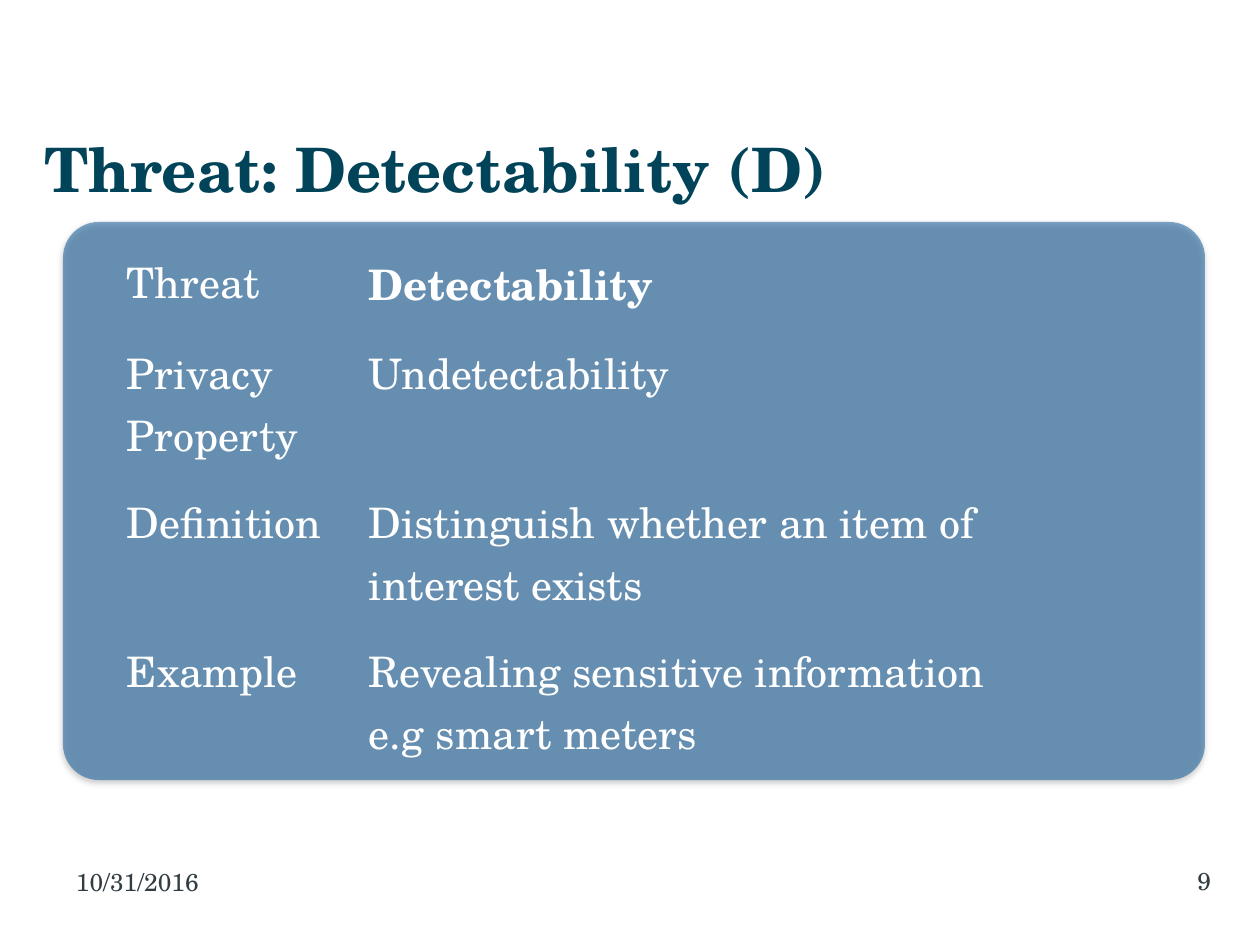
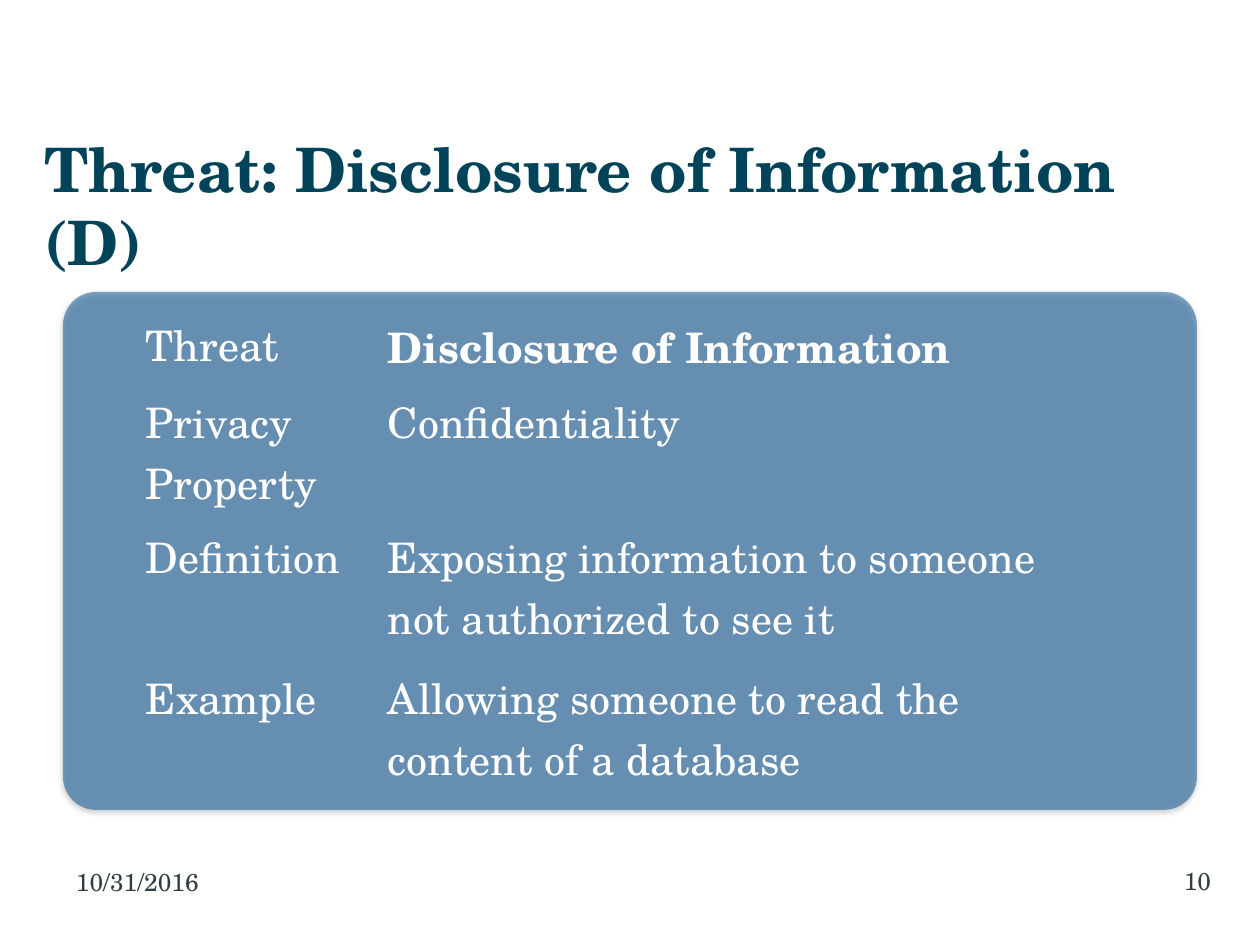
from dataclasses import dataclass

from lxml.etree import SubElement
from pptx import Presentation
from pptx.dml.color import RGBColor as Rgb
from pptx.enum.shapes import MSO_SHAPE as Form
from pptx.enum.text import MSO_ANCHOR as Anchor, PP_ALIGN as Align
from pptx.oxml.ns import qn
from pptx.util import Emu, Pt

SCALE = 914400 / 126  # EMU in one px
PLAIN = "{2D5ABB26-0587-4C30-8999-92F81FD0307C}"  # table style without grid


def px(size: int) -> Emu:
    return Emu(round(size * SCALE))


@dataclass(frozen=True)
class Theme:
    font: str = "TeX Gyre Schola"
    title: str = "014359"
    panel: str = "005194"
    cell: str = "FFFFFF"
    foot: str = "323D43"
    shade: str = "000000"
    big: int = 35
    mid: int = 24
    small: int = 14


@dataclass(frozen=True)
class Box:
    left: int
    top: int
    width: int
    height: int

    def emu(self) -> tuple:
        return tuple(map(px, (self.left, self.top, self.width, self.height)))


@dataclass(frozen=True)
class Threat:
    title: str
    number: str
    panel: Box
    grid: Box
    rows: tuple[int, ...]
    pad: tuple[int, int]
    facts: tuple[str, ...]


THEME = Theme()
TITLE = Box(44, 125, 1171, 89)
DATE = Box(63, 861, 294, 66)
NUMBER = Box(917, 860, 294, 66)
COLS = (242, 702)
LABELS = ("Threat", "Privacy Property", "Definition", "Example")

THREATS = (
    Threat("Threat: Detectability (D)", "9",
           Box(63, 222, 1142, 558), Box(114, 238, 944, 527),
           (53, 53, 94, 149), (13, 13),
           ("Detectability", "Undetectability",
            "Distinguish whether an item of interest exists",
            "Revealing sensitive information e.g smart meters")),
    Threat("Threat: Disclosure of Information (D)", "10",
           Box(63, 292, 1134, 518), Box(133, 308, 944, 535),
           (76, 76, 141, 242), (13, 6),
           ("Disclosure of Information", "Confidentiality",
            "Exposing information to someone not authorized to see it",
            "Allowing someone to read the content of a database")),
)


def write(frame, text: str, size: int, color: str, bold: bool = False,
          align=Align.LEFT) -> None:
    """Put one styled run in the first paragraph."""
    frame.word_wrap = True
    para = frame.paragraphs[0]
    para.alignment = align
    run = para.add_run()
    run.text = text
    font = run.font
    font.name, font.size, font.bold = THEME.font, Pt(size), bold
    font.color.rgb = Rgb.from_string(color)


def inset(part, side: tuple[int, int], edge: int) -> None:
    """Set left and right, then top and bottom margins."""
    part.margin_left, part.margin_right = map(px, side)
    part.margin_top = part.margin_bottom = px(edge)


def add_title(slide, text: str) -> None:
    shape = slide.shapes.title
    shape.left, shape.top, shape.width, shape.height = TITLE.emu()
    frame = shape.text_frame
    inset(frame, (0, 13), 6)
    frame.vertical_anchor = Anchor.TOP
    write(frame, text, THEME.big, THEME.title, bold=True)


def add_panel(slide, box: Box) -> None:
    """Draw the half clear rounded panel and its soft shadow."""
    shape = slide.shapes.add_shape(Form.ROUNDED_RECTANGLE, *box.emu())
    shape.adjustments[0] = 0.064
    shape.line.fill.background()
    shape.shadow.inherit = False
    shape.fill.solid()
    shape.fill.fore_color.rgb = Rgb.from_string(THEME.panel)
    props = shape.element.spPr
    tint = props.find(qn("a:solidFill"))[0]
    SubElement(tint, qn("a:alpha"), val="50000")
    shadow = SubElement(props.find(qn("a:effectLst")), qn("a:outerShdw"),
                        blurRad=str(Pt(3.1)), dist=str(Pt(1.6)),
                        dir="5400000", rotWithShape="0")
    tone = SubElement(shadow, qn("a:srgbClr"), val=THEME.shade)
    SubElement(tone, qn("a:alpha"), val="38000")


def add_grid(slide, threat: Threat) -> None:
    """Lay out the labels and facts as a clear table."""
    frame = slide.shapes.add_table(len(LABELS), len(COLS), *threat.grid.emu())
    table = frame.table
    table.first_row = table.horz_banding = False
    table._tbl.tblPr.find(qn("a:tableStyleId")).text = PLAIN
    for col, width in zip(table.columns, COLS):
        col.width = px(width)
    for row, height in zip(table.rows, threat.rows):
        row.height = px(height)
    side, edge = threat.pad
    for i, pair in enumerate(zip(LABELS, threat.facts)):
        for j, text in enumerate(pair):
            cell = table.cell(i, j)
            cell.fill.background()
            inset(cell, (side, side), edge)
            write(cell.text_frame, text, THEME.mid, THEME.cell,
                  bold=(i, j) == (0, 1))


def add_foot(slide, box: Box, text: str, align, right: int) -> None:
    frame = slide.shapes.add_textbox(*box.emu()).text_frame
    inset(frame, (13, right), 6)
    write(frame, text, THEME.small, THEME.foot, align=align)


def main() -> None:
    deck = Presentation()
    deck.slide_width, deck.slide_height = px(1260), px(945)
    for threat in THREATS:
        slide = deck.slides.add_slide(deck.slide_layouts[5])
        add_panel(slide, threat.panel)
        add_title(slide, threat.title)
        add_grid(slide, threat)
        add_foot(slide, DATE, "10/31/2016", Align.LEFT, 13)
        add_foot(slide, NUMBER, threat.number, Align.RIGHT, 0)
    deck.save("out.pptx")


if __name__ == "__main__":
    main()
